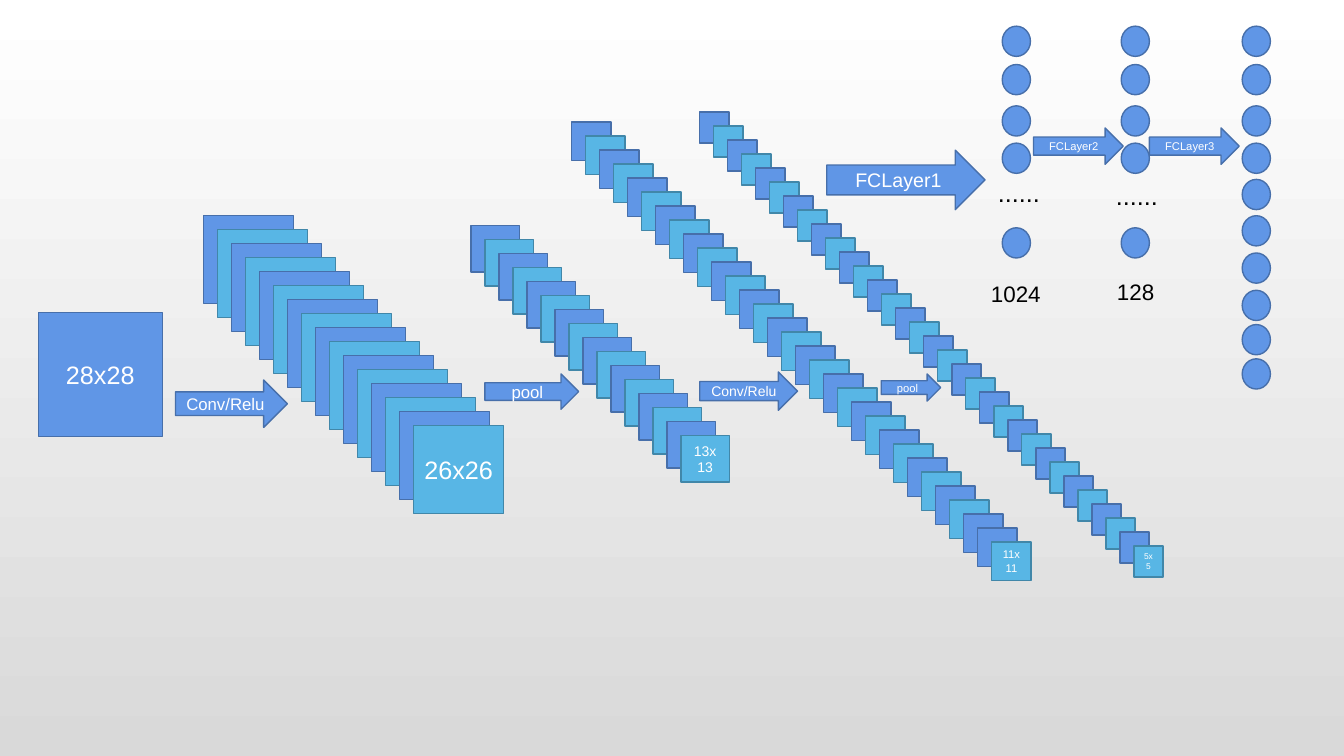
from pptx import Presentation
from pptx.dml.color import RGBColor
from pptx.enum.shapes import MSO_SHAPE
from pptx.enum.text import MSO_ANCHOR, MSO_AUTO_SIZE, PP_ALIGN
from pptx.util import Inches, Pt

RECTANGLE = MSO_SHAPE.RECTANGLE
OVAL = MSO_SHAPE.OVAL
RIGHT_ARROW = MSO_SHAPE.RIGHT_ARROW
MIDDLE = MSO_ANCHOR.MIDDLE
CENTER = PP_ALIGN.CENTER
FIT_TEXT = MSO_AUTO_SIZE.SHAPE_TO_FIT_TEXT

FONT = "Arial"
WHITE, BLACK, GREY = "FFFFFF", "000000", "D9D9D9"
# Fill and outline
BLUE = ("6096E6", "476FAA")
CYAN = ("58B6E5", "4187A9")

# Content: left, top, width, height in inches, then label and text size
INPUT_IMAGE = (0.38, 3.1, 1.23, 1.23, "28x28", 18)

# Place of the rearmost map, number of maps, label and text size of the front one
FEATURE_MAPS = [
    (2.02, 2.14, 0.89, 0.87, 16, "26x26", 18),
    (4.67, 2.24, 0.48, 0.46, 16, "13x13", 10),
    (5.67, 1.21, 0.39, 0.38, 31, "11x11", 8),
    (6.94, 1.11, 0.29, 0.31, 32, "5x5", 6),
]
MAP_STEP = 10 / 72

NEURON_WIDTH, NEURON_HEIGHT = 0.28, 0.3
TOP_NEURONS = [0.26, 0.64, 1.05, 1.42]
# Left edge of each layer and the tops of its neurons
NEURON_LAYERS = [
    (9.94, TOP_NEURONS + [2.26]),
    (11.12, TOP_NEURONS + [2.26]),
    (12.32, TOP_NEURONS + [1.78, 2.14, 2.51, 2.88, 3.22, 3.56]),
]

ARROWS = [
    (1.74, 3.77, 1.11, 0.47, "Conv/Relu", 12),
    (4.81, 3.71, 0.93, 0.35, "pool", 12),
    (6.94, 3.69, 0.97, 0.38, "Conv/Relu", 10),
    (8.74, 3.71, 0.59, 0.27, "pool", 8),
    (8.2, 1.49, 1.57, 0.59, "FCLayer1", 14),
    (10.25, 1.27, 0.89, 0.36, "FCLayer2", 8),
    (11.4, 1.27, 0.89, 0.36, "FCLayer3", 8),
]

CAPTIONS = [
    (9.8, 1.71, 0.7, 0.4, "......", 18),
    (10.97, 1.74, 0.71, 0.4, "......", 18),
    (9.73, 2.73, 0.72, 0.37, "1024", 16),
    (10.98, 2.71, 0.72, 0.37, "128", 16),
]


def color(hex_string):
    return RGBColor.from_string(hex_string)


def write(shape, text, size, text_color):
    shape.text_frame.text = text
    font = shape.text_frame.paragraphs[0].runs[0].font
    font.name = FONT
    font.size = Pt(size)
    font.color.rgb = color(text_color)


def add_block(kind, left, top, width, height, text="", size=0, colors=BLUE):
    shape = slide.shapes.add_shape(
        kind, Inches(left), Inches(top), Inches(width), Inches(height))
    shape.shadow.inherit = False
    fill_color, line_color = colors
    shape.fill.solid()
    shape.fill.fore_color.rgb = color(fill_color)
    shape.line.color.rgb = color(line_color)
    shape.line.width = Pt(1)
    if text:
        write(shape, text, size, WHITE)
        shape.text_frame.vertical_anchor = MIDDLE
        shape.text_frame.paragraphs[0].alignment = CENTER


def add_caption(left, top, width, height, text, size):
    box = slide.shapes.add_textbox(
        Inches(left), Inches(top), Inches(width), Inches(height))
    box.text_frame.word_wrap = True
    box.text_frame.auto_size = FIT_TEXT
    write(box, text, size, BLACK)


presentation = Presentation()
presentation.slide_width = Inches(13.33)
presentation.slide_height = Inches(7.5)
slide = presentation.slides.add_slide(presentation.slide_layouts[6])

# Background, white at the top to grey at the bottom
background = slide.background.fill
background.gradient()
background.gradient_angle = 270
for stop, position, stop_color in zip(background.gradient_stops, (0, 1), (WHITE, GREY)):
    stop.position = position
    stop.color.rgb = color(stop_color)

# Input image
add_block(RECTANGLE, *INPUT_IMAGE)

# Stacks of feature maps: alternating colours, always ending blue then cyan
for left, top, width, height, count, label, size in FEATURE_MAPS:
    for index in range(count):
        is_front = index == count - 1
        is_cyan = is_front or (index % 2 == 1 and index != count - 2)
        offset = index * MAP_STEP
        add_block(RECTANGLE, left + offset, top + offset, width, height,
                  label if is_front else "", size, CYAN if is_cyan else BLUE)

# Fully connected layers
for left, tops in NEURON_LAYERS:
    for top in tops:
        add_block(OVAL, left, top, NEURON_WIDTH, NEURON_HEIGHT)

# Operations between the layers
for arrow in ARROWS:
    add_block(RIGHT_ARROW, *arrow)

# Ellipses and neuron counts
for caption in CAPTIONS:
    add_caption(*caption)

presentation.save("out.pptx")
